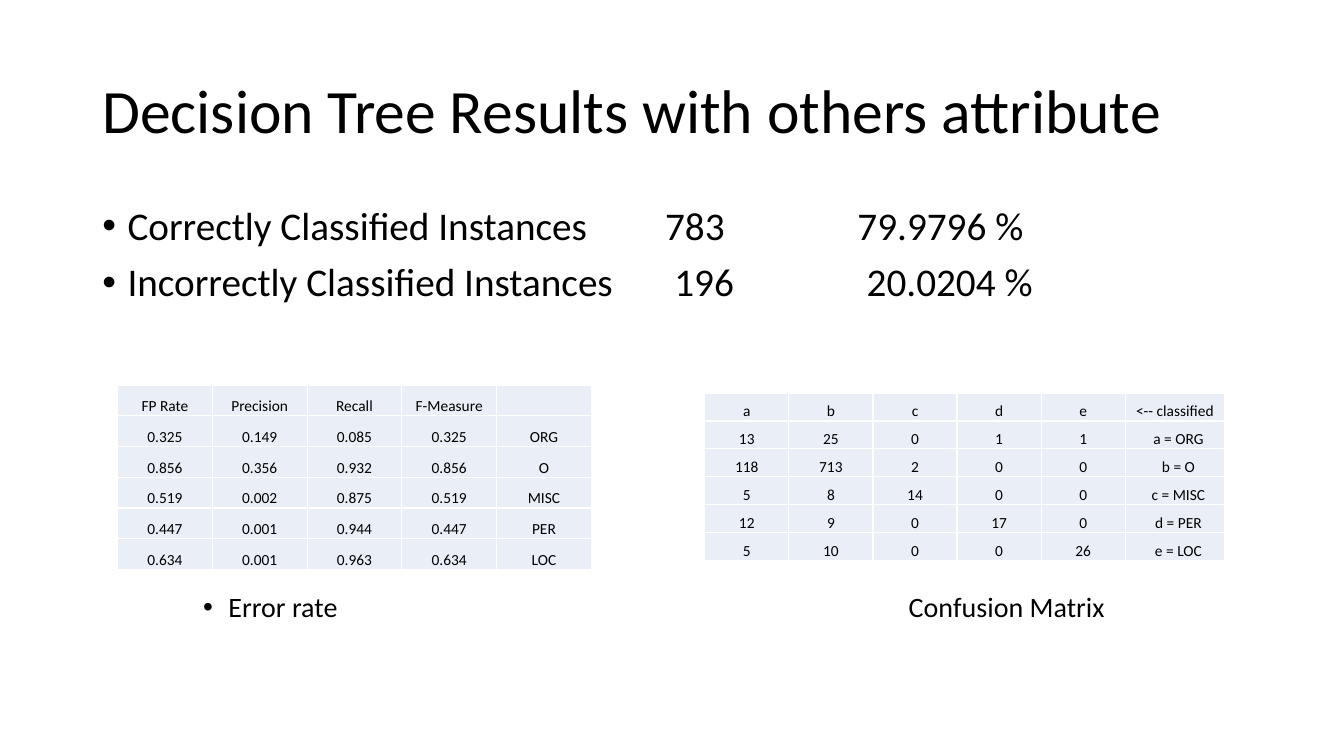
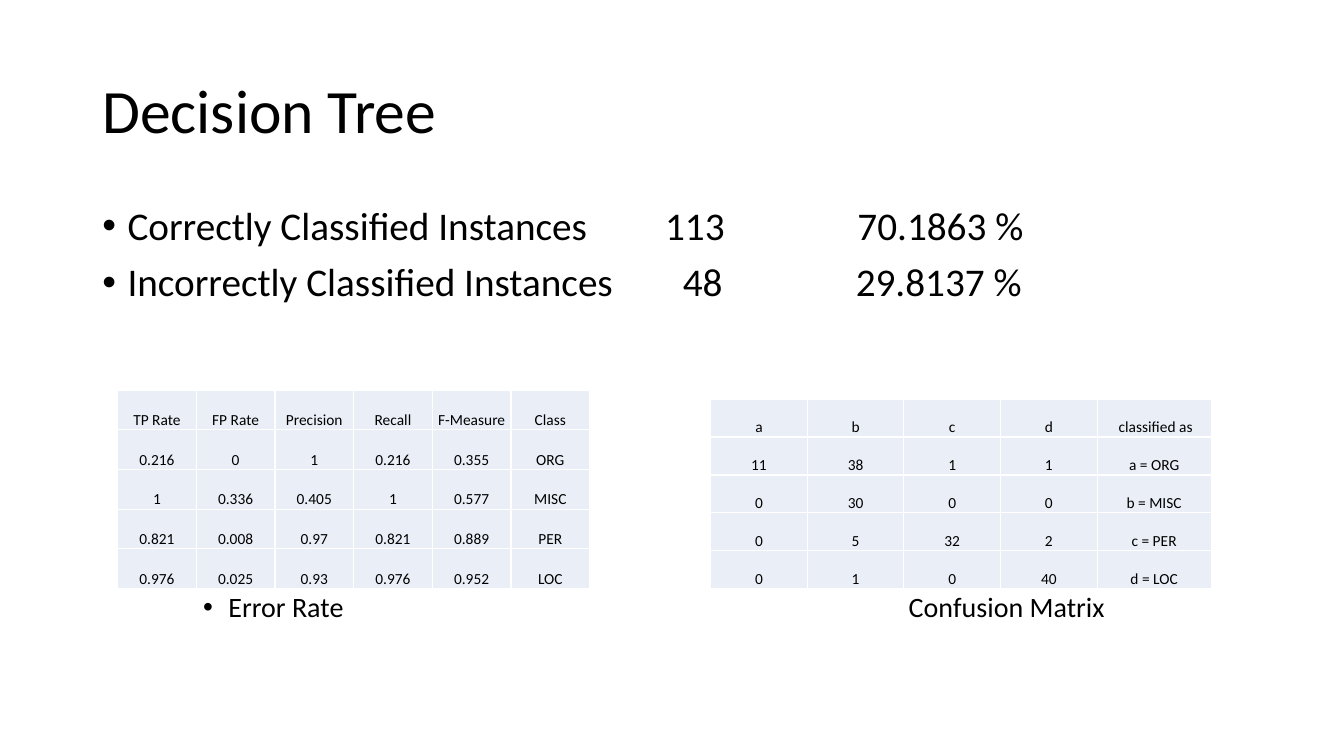
from dataclasses import dataclass

from lxml import etree
from pptx import Presentation
from pptx import util as u
from pptx.dml.color import RGBColor
from pptx.enum import text
from pptx.oxml.ns import qn


@dataclass(frozen=True)
class Theme:
    font: str = "Calibri"
    ink: RGBColor = RGBColor(0, 0, 0)
    cell: RGBColor = RGBColor(0xEA, 0xEF, 0xF7)
    rule: str = "FFFFFF"
    title: int = 44
    body: int = 28
    caption: int = 20
    table: int = 11


theme = Theme()
deck = Presentation()
deck.slide_width, deck.slide_height = u.Inches(13.33), u.Inches(7.5)
COL, ROW = deck.slide_width / 80, deck.slide_height / 75
LEFT, WIDTH = 5.5, 69
LAST_COLUMN = 1.18

results = [
    {
        "title": "Decision Tree Results with others attribute",
        "scores": [
            ("Correctly Classified Instances\t783\t79.9796 %", (33.5, 44.95)),
            ("Incorrectly Classified Instances\t196\t20.0204 %", (34.05, 45.5)),
        ],
        "caption": "Error rate\tConfusion Matrix",
        "tables": [
            {"at": (7, 38.2, 28.2, 18.3), "last": 1, "insets": (0, 0), "rows": [
                ["FP Rate", "Precision", "Recall", "F-Measure", ""],
                ["0.325", "0.149", "0.085", "0.325", "ORG"],
                ["0.856", "0.356", "0.932", "0.856", "O"],
                ["0.519", "0.002", "0.875", "0.519", "MISC"],
                ["0.447", "0.001", "0.944", "0.447", "PER"],
                ["0.634", "0.001", "0.963", "0.634", "LOC"],
            ]},
            {"at": (41.95, 39, 30.95, 16.6), "last": LAST_COLUMN, "insets": (0, 0.07), "rows": [
                ["a", "b", "c", "d", "e", "<-- classified"],
                ["13", "25", "0", "1", "1", "a = ORG"],
                ["118", "713", "2", "0", "0", "b = O"],
                ["5", "8", "14", "0", "0", "c = MISC"],
                ["12", "9", "0", "17", "0", "d = PER"],
                ["5", "10", "0", "0", "26", "e = LOC"],
            ]},
        ],
    },
    {
        "title": "Decision Tree",
        "scores": [
            ("Correctly Classified Instances\t113\t70.1863 %", (33.5, 44.95)),
            ("Incorrectly Classified Instances\t48\t29.8137 %", (34.55, 44.85)),
        ],
        "caption": "Error Rate\tConfusion Matrix",
        "tables": [
            {"at": (7, 38.7, 28.1, 19.7), "last": 1, "insets": (0, 0), "rows": [
                ["TP Rate", "FP Rate", "Precision", "Recall", "F-Measure", "Class"],
                ["0.216", "0", "1", "0.216", "0.355", "ORG"],
                ["1", "0.336", "0.405", "1", "0.577", "MISC"],
                ["0.821", "0.008", "0.97", "0.821", "0.889", "PER"],
                ["0.976", "0.025", "0.93", "0.976", "0.952", "LOC"],
            ]},
            {"at": (42.3, 39.6, 29.8, 18.8), "last": LAST_COLUMN, "insets": (0.03, 0), "rows": [
                ["a", "b", "c", "d", "classified as"],
                ["11", "38", "1", "1", "a = ORG"],
                ["0", "30", "0", "0", "b = MISC"],
                ["0", "5", "32", "2", "c = PER"],
                ["0", "1", "0", "40", "d = LOC"],
            ]},
        ],
    },
]


def write(paragraph, words, size, **layout):
    run = paragraph.add_run()
    run.text = words
    for name, value in {"name": theme.font, "size": u.Pt(size)}.items():
        setattr(run.font, name, value)
    run.font.color.rgb = theme.ink
    for name, value in layout.items():
        setattr(paragraph, name, value)


def add_bullet(paragraph, indent, stops):
    props = paragraph._p.get_or_add_pPr()
    props.set("marL", str(u.Inches(indent)))
    props.set("indent", str(u.Inches(-0.25)))
    etree.SubElement(props, qn("a:buFont"), typeface="Arial")
    etree.SubElement(props, qn("a:buChar"), char="•")
    tabs = etree.SubElement(props, qn("a:tabLst"))
    for stop in stops:
        etree.SubElement(tabs, qn("a:tab"), pos=str(round(stop * COL)), algn="l")


for result in results:
    slide = deck.slides.add_slide(deck.slide_layouts[6])

    frames = []
    for top, height in [(4, 14.5), (20, 12), (58.4, 4.5)]:
        box = slide.shapes.add_textbox(
            round(LEFT * COL), round(top * ROW), round(WIDTH * COL), round(height * ROW))
        box.text_frame.word_wrap = True
        frames.append(box.text_frame)
    heading, scores, caption = frames

    heading.vertical_anchor = text.MSO_ANCHOR.MIDDLE
    write(heading.paragraphs[0], result["title"], theme.title, line_spacing=0.9)

    for index, (score, stops) in enumerate(result["scores"]):
        line = scores.add_paragraph() if index else scores.paragraphs[0]
        write(line, score, theme.body, line_spacing=0.9, space_before=u.Pt(10))
        add_bullet(line, 0.25, stops)

    write(caption.paragraphs[0], result["caption"], theme.caption,
          line_spacing=0.9, space_before=u.Pt(5))
    add_bullet(caption.paragraphs[0], 1.25, [48])

    for table in result["tables"]:
        left, top, width, height = table["at"]
        rows = table["rows"]
        shares = [1] * (len(rows[0]) - 1) + [table["last"]]
        grid = slide.shapes.add_table(
            len(rows), len(shares), round(left * COL), round(top * ROW),
            round(width * COL), round(height * ROW)).table
        for name, value in {"first_row": False, "horz_banding": False}.items():
            setattr(grid, name, value)
        for column, share in zip(grid.columns, shares):
            column.width = round(width * COL * share / sum(shares))
        for r, values in enumerate(rows):
            for c, value in enumerate(values):
                cell = grid.cell(r, c)
                inset = table["insets"][min(r, 1)] if c == len(shares) - 1 else 0
                for name, setting in {
                    "margin_left": u.Inches(inset), "margin_right": 0,
                    "margin_top": 0, "margin_bottom": 0,
                    "vertical_anchor": text.MSO_ANCHOR.BOTTOM,
                }.items():
                    setattr(cell, name, setting)
                for side in ("a:lnL", "a:lnR", "a:lnT", "a:lnB"):
                    edge = etree.SubElement(
                        cell._tc.get_or_add_tcPr(), qn(side), w=str(u.Pt(1)))
                    paint = etree.SubElement(edge, qn("a:solidFill"))
                    etree.SubElement(paint, qn("a:srgbClr"), val=theme.rule)
                cell.fill.solid()
                cell.fill.fore_color.rgb = theme.cell
                write(cell.text_frame.paragraphs[0], value, theme.table,
                      alignment=text.PP_ALIGN.CENTER)

deck.save("out.pptx")
